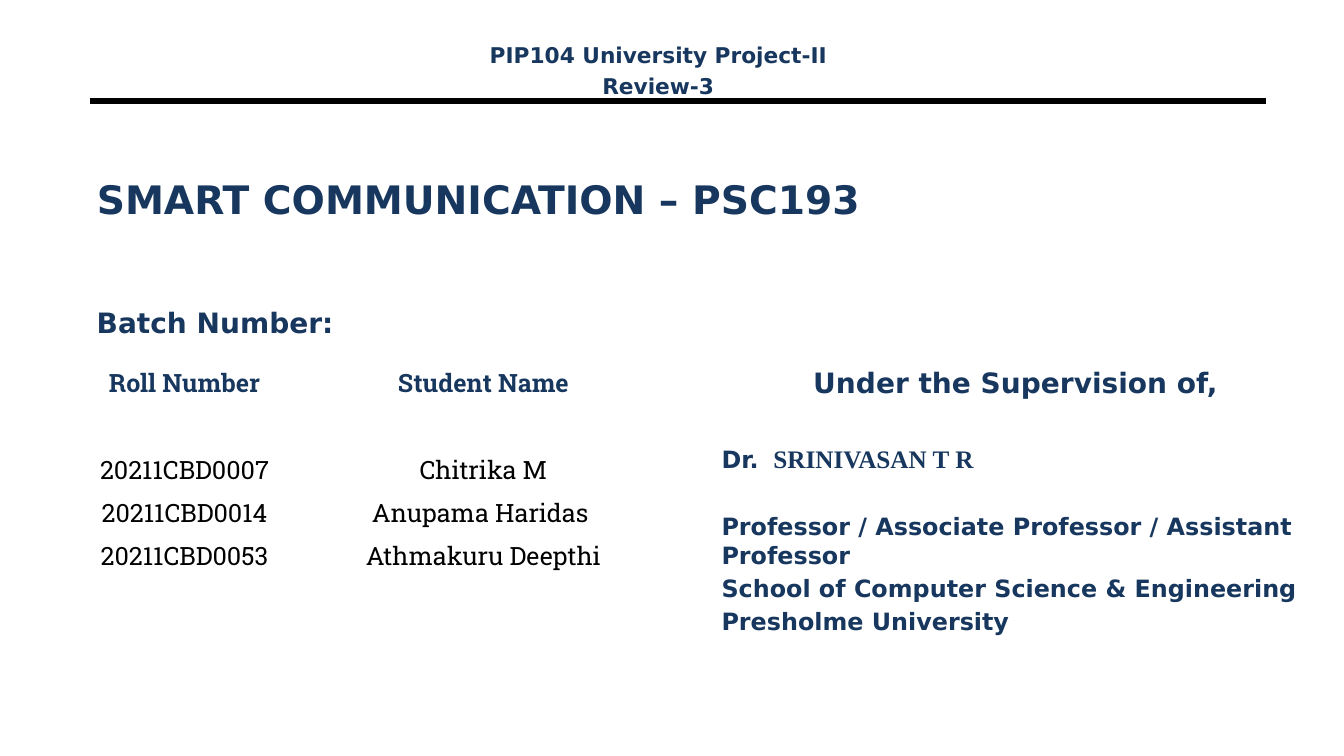
from lxml import etree
from pptx import Presentation
from pptx import util as u
from pptx.dml.color import RGBColor
from pptx.enum import shapes, text
from pptx.oxml.ns import qn

Pt = u.Pt
NAVY = "17375E"
BLACK = "000000"
SANS = "DejaVu Sans"
SLAB = "Roboto Slab"
LEFT = text.PP_ALIGN.LEFT
CENTER = text.PP_ALIGN.CENTER


def color(value):
    return RGBColor.from_string(value)


def write(paragraph, words, size=18, font=SANS, ink=NAVY, bold=True, align=LEFT, before=0):
    paragraph.alignment = align
    paragraph.space_before = Pt(before)
    run = paragraph.add_run()
    run.text = words
    run.font.size = Pt(size)
    run.font.name = font
    run.font.bold = bold
    run.font.color.rgb = color(ink)


def add_block(slide, box, lines):
    frame = slide.shapes.add_textbox(*map(Pt, box)).text_frame
    frame.word_wrap = True
    for index, (words, style) in enumerate(lines):
        paragraph = frame.add_paragraph() if index else frame.paragraphs[0]
        write(paragraph, words, **style)
    return frame


def add_rule(slide, left, right, y, weight):
    rule = slide.shapes.add_connector(
        shapes.MSO_CONNECTOR.STRAIGHT, Pt(left), Pt(y), Pt(right), Pt(y))
    rule.line.color.rgb = color(BLACK)
    rule.line.width = Pt(weight)
    etree.SubElement(rule._element.spPr, qn("a:effectLst"))


def set_title(slide, box, words):
    title = slide.shapes.title
    title.left, title.top, title.width, title.height = map(Pt, box)
    title.text_frame.vertical_anchor = text.MSO_ANCHOR.MIDDLE
    title.text_frame.word_wrap = True
    write(title.text_frame.paragraphs[0], words, size=28)


def add_roster(slide, left, top, widths, row_height, rows):
    roster = slide.shapes.add_table(
        len(rows), len(widths), Pt(left), Pt(top),
        Pt(sum(widths)), Pt(row_height * len(rows))).table
    roster.first_row = False
    roster.horz_banding = False
    for column, width in zip(roster.columns, widths):
        column.width = Pt(width)
    for r, entries in enumerate(rows):
        roster.rows[r].height = Pt(row_height)
        for c in range(len(widths)):
            cell = roster.cell(r, c)
            cell.fill.background()
            cell.vertical_anchor = text.MSO_ANCHOR.MIDDLE
            if entries:
                heading = r == 0
                write(cell.text_frame.paragraphs[0], entries[c], font=SLAB,
                      ink=NAVY if heading else BLACK, bold=heading, align=CENTER)


def main():
    deck = Presentation()
    deck.slide_width, deck.slide_height = Pt(960), Pt(540)
    slide = deck.slides.add_slide(deck.slide_layouts[5])

    add_rule(slide, 64.2, 904.2, 72, 4.5)
    set_title(slide, (62, 84.2, 816, 116), "SMART COMMUNICATION – PSC193")
    add_block(slide, (62, 214.5, 312.5, 43), [("Batch Number:", dict(size=20))])

    students = [
        ("Roll Number", "Student Name"),
        (),
        ("20211CBD0007", "Chitrika M"),
        ("20211CBD0014", "Anupama Haridas "),
        ("20211CBD0053", "Athmakuru Deepthi"),
        (),
    ]
    add_roster(slide, 49.7, 257.8, (164.2, 262.8), 31, students)

    supervision = add_block(slide, (508.3, 257.8, 434.2, 191.5), [
        ("Under the Supervision of,", dict(size=20, align=CENTER)),
        ("Dr. ", dict(size=17, before=31.5)),
        ("Professor / Associate Professor / Assistant Professor", dict(size=17, before=27)),
        ("School of Computer Science & Engineering", dict(size=17, before=3.4)),
        ("Presholme University", dict(size=17, before=3.4)),
    ])
    write(supervision.paragraphs[1], " SRINIVASAN T R", font="Times New Roman", before=31.5)

    course = dict(size=15.5, align=CENTER)
    add_block(slide, (313.9, 26.6, 312.5, 43), [
        ("PIP104 University Project-II", course),
        ("Review-3", dict(course, before=3.1)),
    ])

    deck.save("out.pptx")


if __name__ == "__main__":
    main()
